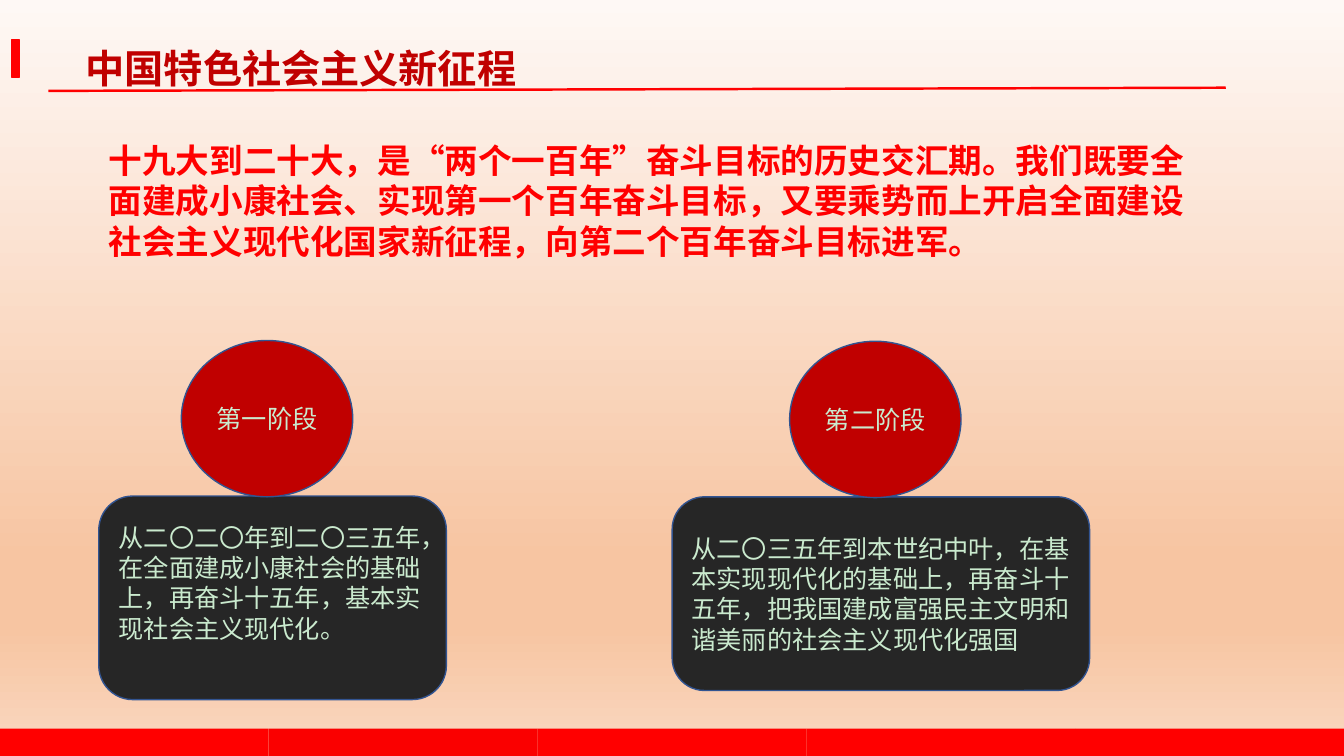
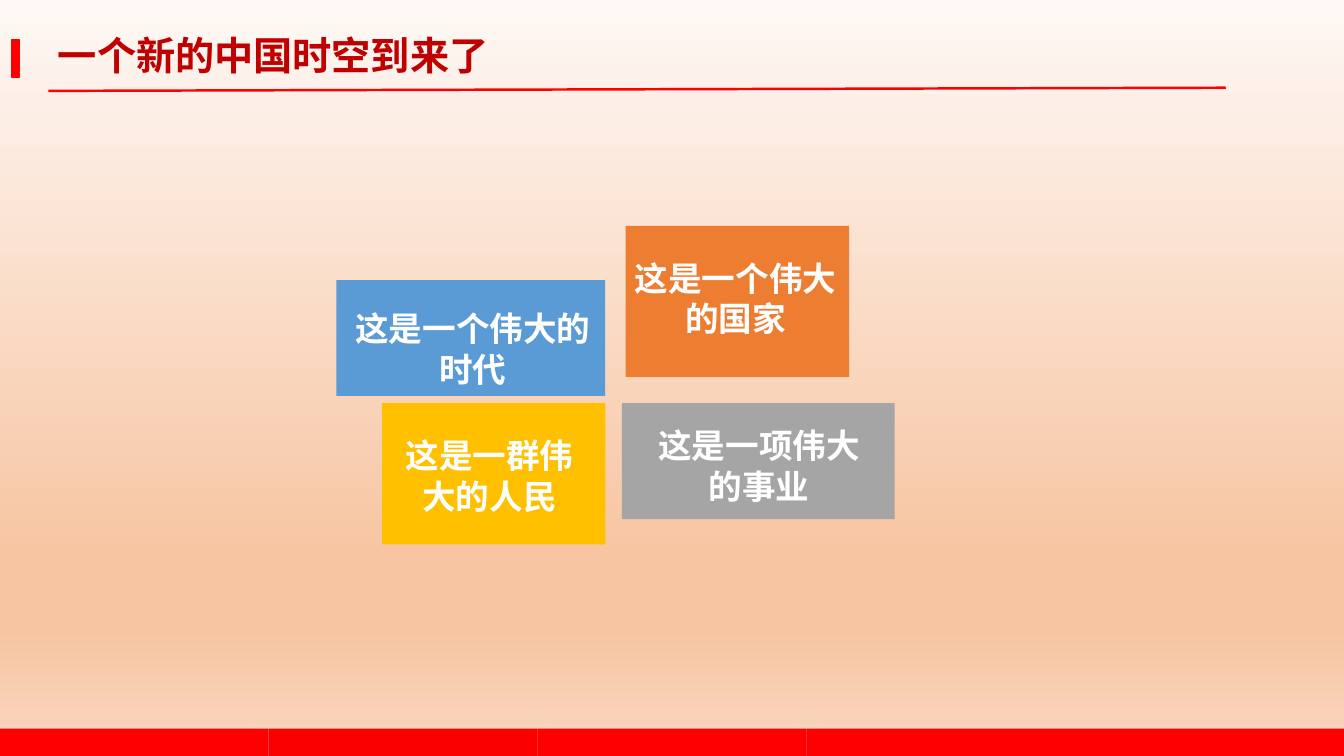
from lxml.etree import SubElement
from pptx import Presentation
from pptx.dml.color import RGBColor
from pptx.enum.shapes import MSO_CONNECTOR, MSO_SHAPE
from pptx.enum.text import MSO_ANCHOR, PP_ALIGN
from pptx.oxml.ns import qn
from pptx.util import Cm, Pt

FONT = "Noto Sans CJK SC"
RED = "FF0000"
DARK_RED = "C00000"
CHARCOAL = "262626"
OUTLINE = "325491"
MINT = "CAEACE"
WHITE = "FFFFFF"
BACKDROP = [(0, "FEF8F5"), (74, "F7C5A2"), (83, "F7C5A2"), (100, "FAD8C1")]
BAND_COLOURS = [RED, "FA0000", RED, RED, RED]
SLIDE_WIDTH, SLIDE_HEIGHT = 33.87, 19.05
DEFAULT_INSETS = (0.25, 0.13, 0.25, 0.13)
NO_INSETS = (0, 0, 0, 0)


def colour(hex_code):
    return RGBColor.from_string(hex_code)


def write(frame, words, size, hex_code, bold=False, align=PP_ALIGN.LEFT,
          anchor=MSO_ANCHOR.TOP, insets=DEFAULT_INSETS):
    frame.word_wrap = True
    frame.vertical_anchor = anchor
    (frame.margin_left, frame.margin_top,
     frame.margin_right, frame.margin_bottom) = map(Cm, insets)
    paragraph = frame.paragraphs[0]
    paragraph.alignment = align
    run = paragraph.add_run()
    run.text = words
    run.font.name = FONT
    run.font.size = Pt(size)
    run.font.bold = bold
    run.font.color.rgb = colour(hex_code)
    SubElement(run.font._element, qn("a:ea"), typeface=FONT)


def add_panel(slide, preset, box, fill, outline=None):
    panel = slide.shapes.add_shape(preset, *map(Cm, box))
    panel.shadow.inherit = False
    panel.fill.solid()
    panel.fill.fore_color.rgb = colour(fill)
    if outline:
        panel.line.color.rgb = colour(outline)
        panel.line.width = Pt(1)
    else:
        panel.line.fill.background()
    return panel


def add_label(slide, box, words, size, hex_code, **style):
    label = slide.shapes.add_textbox(*map(Cm, box))
    write(label.text_frame, words, size, hex_code, bold=True, **style)


def paint_backdrop(slide):
    fill = slide.background.fill
    fill.gradient()
    fill.gradient_angle = 270
    stops = slide.element.find(".//" + qn("a:gsLst"))
    for stop in list(stops):
        stops.remove(stop)
    for percent, hex_code in BACKDROP:
        stop = SubElement(stops, qn("a:gs"), pos=str(percent * 1000))
        SubElement(stop, qn("a:srgbClr"), val=hex_code)


def add_header(slide, title, box):
    add_label(slide, box, title, 28, DARK_RED, align=PP_ALIGN.CENTER, insets=NO_INSETS)
    add_panel(slide, MSO_SHAPE.RECTANGLE, (0.3, 0.99, 0.18, 0.97), RED, RED)
    rule = slide.shapes.add_connector(
        MSO_CONNECTOR.STRAIGHT, Cm(1.22), Cm(2.29), Cm(30.89), Cm(2.21))
    rule.line.color.rgb = colour(RED)
    rule.line.width = Pt(1.75)
    SubElement(rule.element.spPr, qn("a:effectLst"))


def add_footer(slide, height=0.69):
    width = SLIDE_WIDTH / len(BAND_COLOURS)
    for index, fill in enumerate(BAND_COLOURS):
        band = (index * width, SLIDE_HEIGHT - height, width, height)
        add_panel(slide, MSO_SHAPE.RECTANGLE, band, fill)


def start_slide(deck, title, title_box):
    slide = deck.slides.add_slide(deck.slide_layouts[6])
    paint_backdrop(slide)
    add_header(slide, title, title_box)
    add_footer(slide)
    return slide


def add_stage(slide, box, stage, goal, bottom_inset=0.13):
    left, top, width, _ = box
    goal_box = add_panel(slide, MSO_SHAPE.ROUNDED_RECTANGLE, box, CHARCOAL, OUTLINE)
    write(goal_box.text_frame, goal, 18, MINT, anchor=MSO_ANCHOR.MIDDLE,
          insets=(0.25, 0.13, 0.25, bottom_inset))
    badge_width, badge_height = 4.32, 3.94
    badge_box = (left + (width - badge_width) / 2 - 0.14, top - 3.92,
                 badge_width, badge_height)
    badge = add_panel(slide, MSO_SHAPE.OVAL, badge_box, DARK_RED, OUTLINE)
    write(badge.text_frame, stage, 18, MINT, align=PP_ALIGN.CENTER,
          anchor=MSO_ANCHOR.MIDDLE)


def build_journey(deck):
    slide = start_slide(deck, "中国特色社会主义新征程", (1.63, 1.12, 11.91, 1.19))
    add_label(slide, (2.49, 3.4, 28.3, 3.33),
              "十九大到二十大，是“两个一百年”奋斗目标的历史交汇期。"
              "我们既要全面建成小康社会、实现第一个百年奋斗目标，"
              "又要乘势而上开启全面建设社会主义现代化国家新征程，"
              "向第二个百年奋斗目标进军。", 24, RED)
    add_stage(slide, (2.49, 12.5, 8.76, 5.13), "第一阶段",
              "从二〇二〇年到二〇三五年，在全面建成小康社会的基础上，"
              "再奋斗十五年，基本实现社会主义现代化。", bottom_inset=0.89)
    add_stage(slide, (16.94, 12.52, 10.52, 4.88), "第二阶段",
              "从二〇三五年到本世纪中叶，在基本实现现代化的基础上，"
              "再奋斗十五年，把我国建成富强民主文明和谐美丽的社会主义现代化强国")


def build_new_era(deck):
    slide = start_slide(deck, "一个新的中国时空到来了", (0.66, 0.79, 12.45, 1.19))
    tiles = [
        ("这是一个伟大的时代", "5B9BD5", (8.48, 7.06, 6.77, 2.92), (0.28, 0.71, 0.17, 0)),
        ("这是一项伟大的事业", "A5A5A5", (15.67, 10.16, 6.88, 2.92), (0.59, 0.56, 0.55, 0)),
        ("这是一个伟大的国家", "ED7D31", (15.77, 5.69, 5.63, 3.81), (0.11, 0.81, 0.21, 0)),
        ("这是一群伟大的人民", "FFC000", (9.63, 10.16, 5.63, 3.56), (0.23, 0.81, 0.45, 0)),
    ]
    for words, fill, box, insets in tiles:
        tile = add_panel(slide, MSO_SHAPE.RECTANGLE, box, fill)
        write(tile.text_frame, words, 24, WHITE, bold=True,
              align=PP_ALIGN.CENTER, insets=insets)


def main():
    deck = Presentation()
    deck.slide_width = Cm(SLIDE_WIDTH)
    deck.slide_height = Cm(SLIDE_HEIGHT)
    build_journey(deck)
    build_new_era(deck)
    deck.save("out.pptx")


if __name__ == "__main__":
    main()
